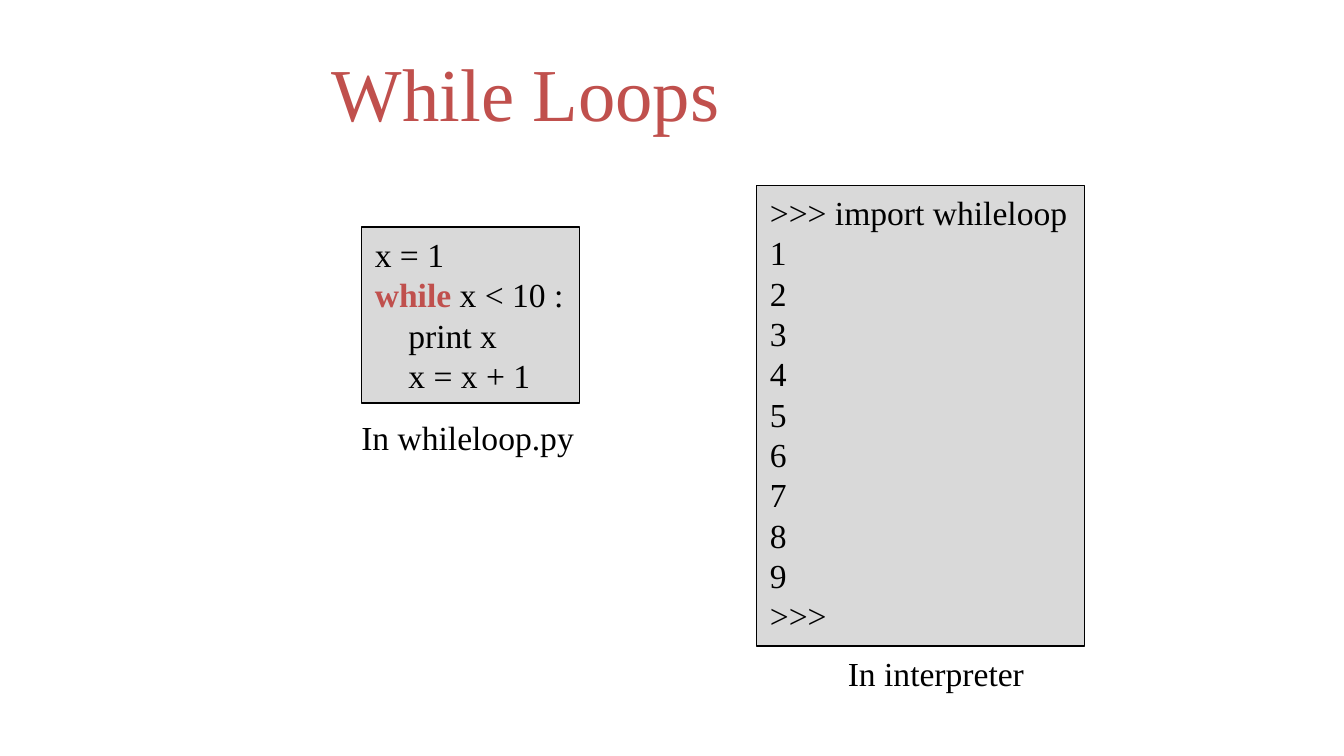
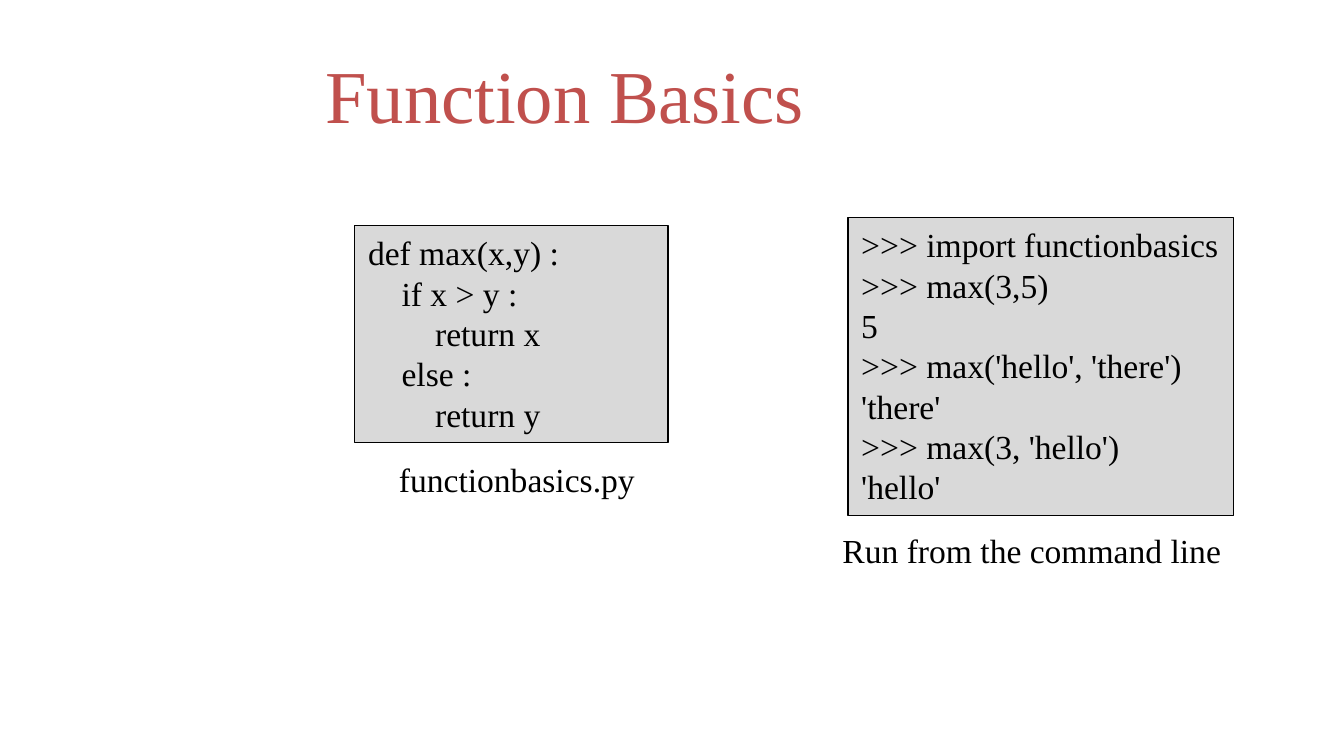
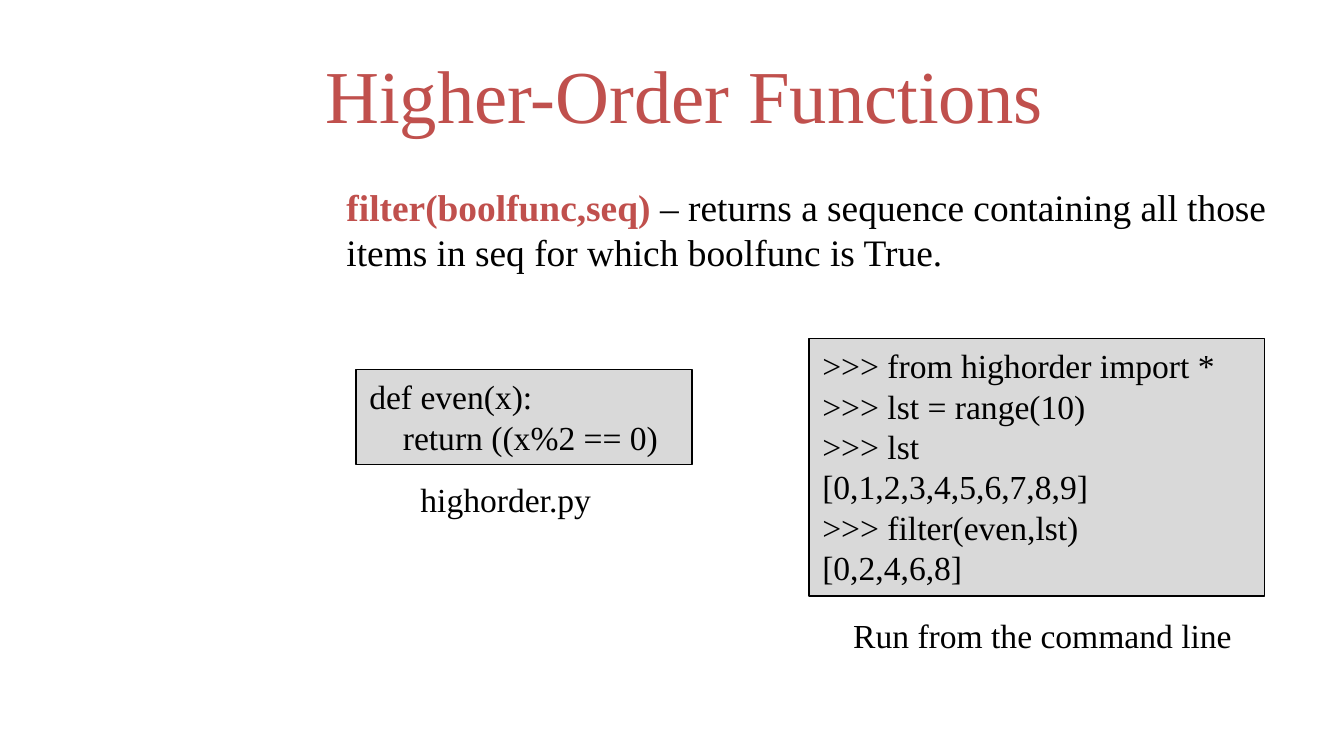
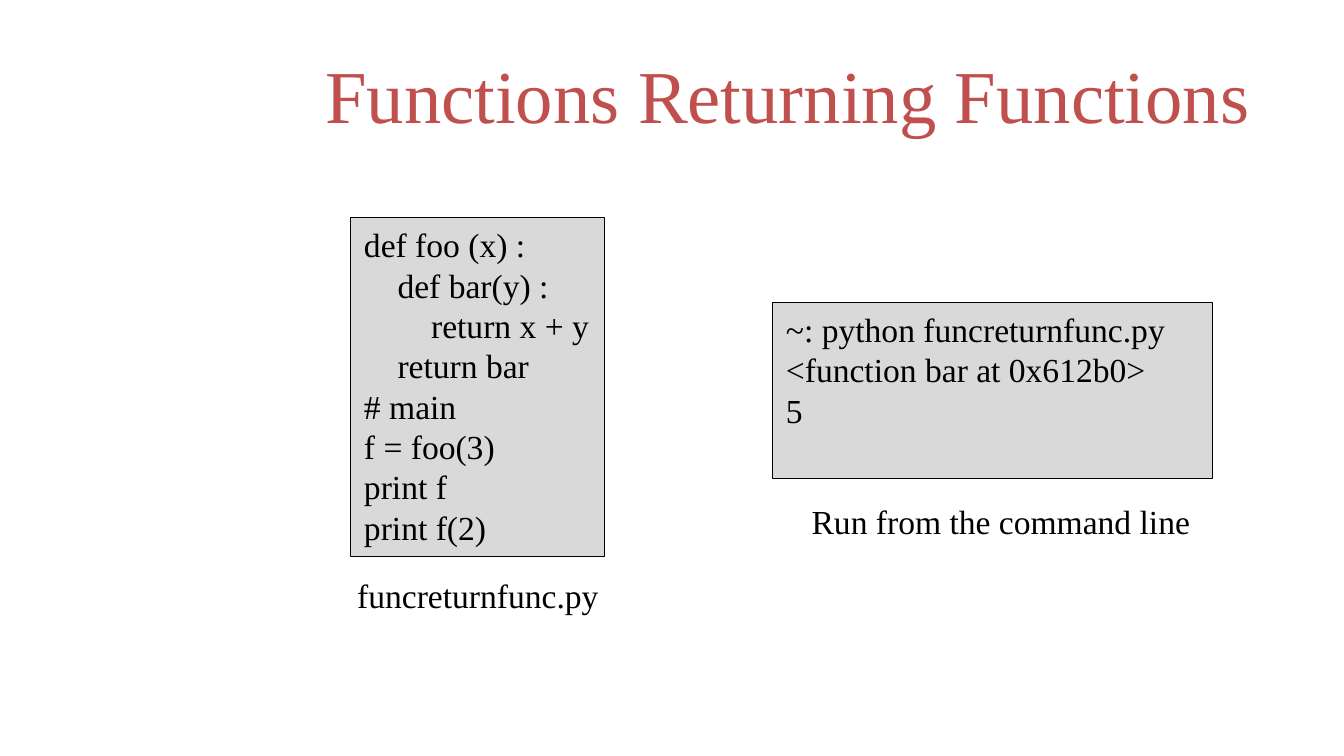
from dataclasses import dataclass
from pptx import Presentation
from pptx.dml.color import RGBColor
from pptx.enum.shapes import MSO_SHAPE
from pptx.enum.text import MSO_ANCHOR, PP_ALIGN
from pptx.util import Inches, Pt


@dataclass(frozen=True)
class Theme:
    face: str = "Times New Roman"
    accent: str = "C0504D"
    ink: str = "000000"
    panel: str = "D9D9D9"
    head: int = 40
    lead: int = 20
    code: int = 18
    edge: float = 0.75
    pad: float = 0.1
    row: float = 1.21 * 18 / 72
    note: float = 0.4


THEME = Theme()
TITLE = (2.32, 0.23, 7.18, 0.94)
RUN = "Run from the command line"


def apply(item, values):
    for name, value in values.items():
        setattr(item, name, value)


def tint(name):
    return RGBColor.from_string(getattr(THEME, name))


def place(shape, box):
    names = ("left", "top", "width", "height")
    apply(shape, dict(zip(names, map(Inches, box))))


def write(frame, lines, size, color="ink", key="", anchor=MSO_ANCHOR.TOP):
    apply(frame, {
        "word_wrap": True,
        "vertical_anchor": anchor,
        "margin_left": Inches(THEME.pad),
        "margin_right": Inches(0),
        "margin_top": Inches(THEME.pad / 2),
        "margin_bottom": Inches(THEME.pad / 2),
    })
    for index, line in enumerate(lines):
        para = frame.add_paragraph() if index else frame.paragraphs[0]
        para.alignment = PP_ALIGN.LEFT
        parts = line.partition(key) if key else (line,)
        for part in filter(None, parts):
            run = para.add_run()
            run.text = part
            hot = part == key
            apply(run.font, {"name": THEME.face, "size": Pt(size), "bold": hot})
            run.font.color.rgb = tint("accent" if hot else color)


def add_text(slide, box, text, size, key=""):
    shape = slide.shapes.add_textbox(*map(Inches, box))
    write(shape.text_frame, [text], size, key=key)


def add_page(deck, title, box=TITLE):
    slide = deck.slides.add_slide(deck.slide_layouts[5])
    head = slide.shapes.title
    place(head, box)
    write(head.text_frame, [title], THEME.head, "accent",
          anchor=MSO_ANCHOR.MIDDLE)
    return slide


def add_code(slide, box, code, label, offset, key="", rows=0):
    left, top, width = box
    lines = code.split("\n")
    height = THEME.pad + THEME.row * (rows or len(lines))
    shape = slide.shapes.add_shape(
        MSO_SHAPE.RECTANGLE, *map(Inches, (left, top, width, height)))
    shape.shadow.inherit = False
    shape.fill.solid()
    shape.fill.fore_color.rgb = tint("panel")
    shape.line.color.rgb = tint("ink")
    shape.line.width = Pt(THEME.edge)
    write(shape.text_frame, lines, THEME.code, key=key)
    shift, gap, span = offset
    note = (left + shift, top + height + gap, span, THEME.note)
    add_text(slide, note, label, THEME.code)


def add_loops(deck):
    slide = add_page(deck, "While Loops", (2.37, 0.27, 6.88, 0.83))
    code = """x = 1
while x < 10 :
    print x
    x = x + 1"""
    add_code(slide, (2.69, 1.69, 1.62), code, "In whileloop.py",
             (-0.1, 0.05, 1.8), key="while")
    shell = "\n".join([">>> import whileloop", *map(str, range(1, 10)), ">>>"])
    add_code(slide, (5.63, 1.38, 2.44), shell, "In interpreter",
             (0.58, 0, 1.58))


def add_basics(deck):
    slide = add_page(deck, "Function Basics")
    code = """def max(x,y) :
    if x > y :
        return x
    else :
        return y"""
    add_code(slide, (2.64, 1.68, 2.33), code, "functionbasics.py",
             (0.23, 0.07, 2.1))
    shell = """>>> import functionbasics
>>> max(3,5)
5
>>> max('hello', 'there')
'there'
>>> max(3, 'hello')
'hello'"""
    add_code(slide, (6.31, 1.62, 2.87), shell, RUN, (-0.14, 0.06, 3.08))


def add_higher(deck):
    slide = add_page(deck, "Higher-Order Functions")
    add_text(slide, (2.48, 1.32, 7.17, 0.77),
             "filter(boolfunc,seq) – returns a sequence containing all those "
             "items in seq for which boolfunc is True.",
             THEME.lead, key="filter(boolfunc,seq)")
    code = """def even(x):
    return ((x%2 == 0)"""
    add_code(slide, (2.65, 2.75, 2.5), code, "highorder.py",
             (0.38, 0.06, 1.65))
    shell = """>>> from highorder import *
>>> lst = range(10)
>>> lst
[0,1,2,3,4,5,6,7,8,9]
>>> filter(even,lst)
[0,2,4,6,8]"""
    add_code(slide, (6.02, 2.52, 3.39), shell, RUN, (0.23, 0.09, 3.08))


def add_return(deck):
    slide = add_page(deck, "Functions Returning Functions")
    code = """def foo (x) :
    def bar(y) :
        return x + y
    return bar
# main
f = foo(3)
print f
print f(2)"""
    add_code(slide, (2.61, 1.62, 1.89), code, "funcreturnfunc.py",
             (-0.05, 0.09, 2.13))
    shell = """~: python funcreturnfunc.py
<function bar at 0x612b0>
5"""
    add_code(slide, (5.75, 2.25, 3.27), shell, RUN, (0.19, 0.12, 3.08), rows=4)


def main():
    deck = Presentation()
    wide = Inches(10)
    apply(deck, {"slide_width": wide, "slide_height": wide * 9 // 16})
    for build in (add_loops, add_basics, add_higher, add_return):
        build(deck)
    deck.save("out.pptx")


if __name__ == "__main__":
    main()
